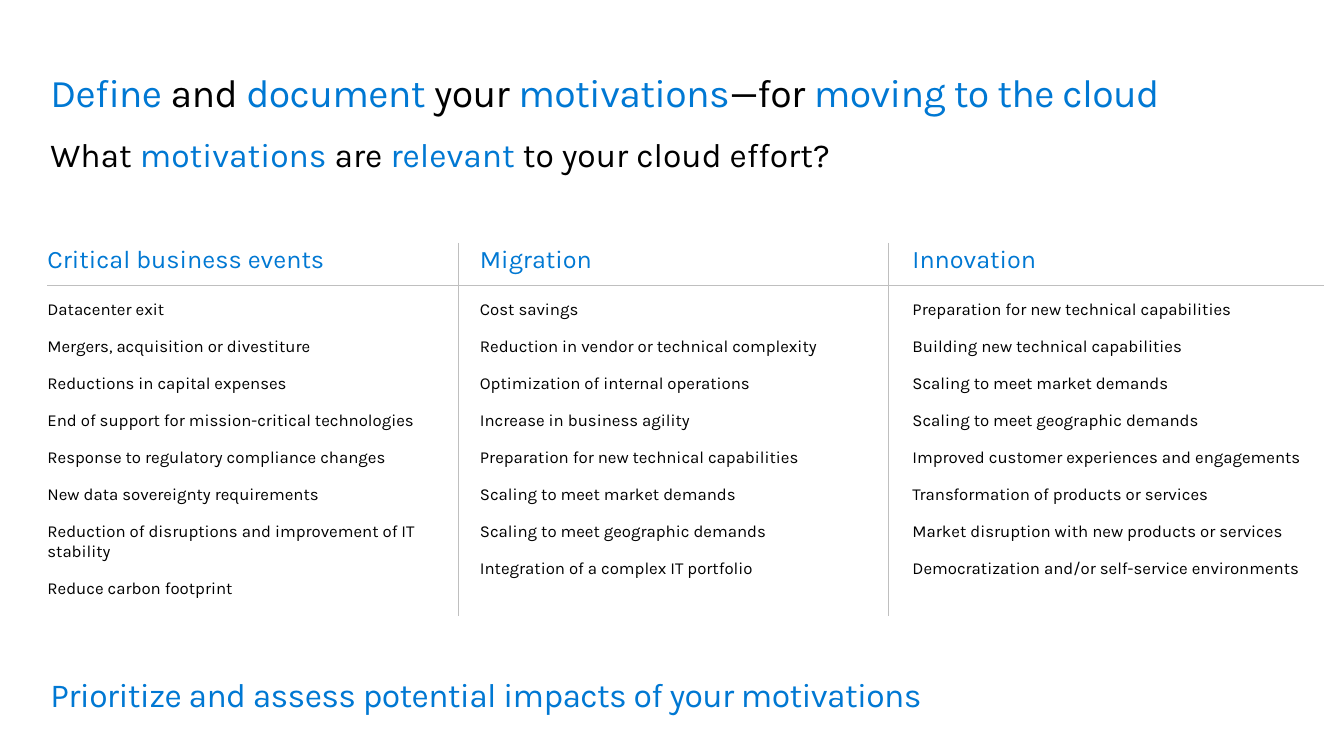
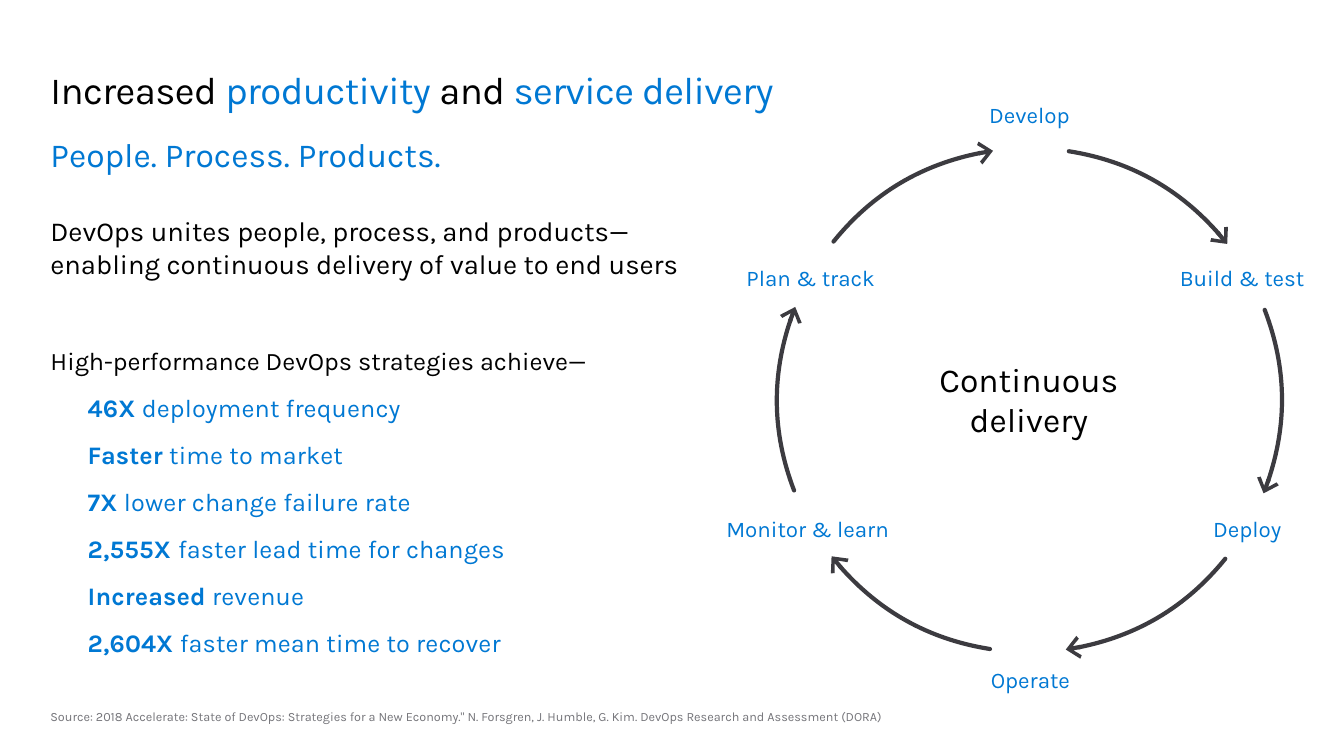
import math
from dataclasses import dataclass

from lxml import etree
from pptx import Presentation
from pptx import util as u
from pptx.dml.color import RGBColor
from pptx.enum import shapes, text
from pptx.oxml.ns import qn

# Content
MOTIVATION_TITLE = "*Define* and *document *your *motivations*—for *moving to the cloud*"
MOTIVATION_SUBTITLE = "What *motivations* are *relevant* to your cloud effort?"
MOTIVATION_CLOSING = "*Prioritize and assess potential impacts of your motivations*"
MOTIVATIONS = [
    ("Critical business events", [
        "Datacenter exit",
        "Mergers, acquisition or divestiture",
        "Reductions in capital expenses",
        "End of support for mission-critical technologies",
        "Response to regulatory compliance changes",
        "New data sovereignty requirements",
        "Reduction of disruptions and improvement of IT stability",
        "Reduce carbon footprint",
    ]),
    ("Migration", [
        "Cost savings",
        "Reduction in vendor or technical complexity",
        "Optimization of internal operations",
        "Increase in business agility",
        "Preparation for new technical capabilities",
        "Scaling to meet market demands",
        "Scaling to meet geographic demands",
        "Integration of a complex IT portfolio",
    ]),
    ("Innovation", [
        "Preparation for new technical capabilities",
        "Building new technical capabilities",
        "Scaling to meet market demands",
        "Scaling to meet geographic demands",
        "Improved customer experiences and engagements",
        "Transformation of products or services",
        "Market disruption with new products or services",
        "Democratization and/or self-service environments",
    ]),
]

DELIVERY_TITLE = "Increased *productivity *and *service delivery*"
DELIVERY_SUBTITLE = "*People. Process. Products.*"
DELIVERY_INTRO = ("DevOps unites people, process, and products—\v"
                  "enabling continuous delivery of value to end users")
DELIVERY_LEAD = "High-performance DevOps strategies achieve—"
RESULTS = [
    ("46X", " deployment frequency"),
    ("Faster", " time to market"),
    ("7X", " lower change failure rate"),
    ("2,555X ", "faster lead time for changes"),
    ("Increased", " revenue"),
    ("2,604X", " faster mean time to recover"),
]
SOURCE = ("Source: 2018 Accelerate: State of DevOps: Strategies for a New Economy.\" "
          "N. Forsgren, J. Humble, G. Kim. DevOps Research and Assessment (DORA)")
CYCLE_CENTER = "Continuous delivery"
# Stage name, label centre x, label top
STAGES = [
    ("Develop", 10.21, 0.95),
    ("Build & test", 12.32, 2.57),
    ("Deploy", 12.37, 5.06),
    ("Operate", 10.22, 6.56),
    ("Monitor & learn", 8.01, 5.06),
    ("Plan & track", 8.04, 2.57),
]


@dataclass(frozen=True)
class Theme:
    font: str = "Karla"
    ink: RGBColor = RGBColor(0x00, 0x00, 0x00)
    accent: RGBColor = RGBColor(0x00, 0x78, 0xD3)
    paper: RGBColor = RGBColor(0xFF, 0xFF, 0xFF)
    rule: RGBColor = RGBColor(0xBF, 0xBF, 0xBF)
    arrow: RGBColor = RGBColor(0x3C, 0x3B, 0x40)
    muted: RGBColor = RGBColor(0x75, 0x75, 0x7A)
    title: float = 28
    title_small: float = 27.4
    subtitle: float = 24
    intro: float = 19.6
    heading: float = 18
    label: float = 16
    item: float = 12
    source: float = 9
    tight: float = -0.46
    tighter: float = -0.41


THEME = Theme()
LEFT = 0.5


# Text helpers
def inches(*lengths):
    return [u.Inches(length) for length in lengths]


def add_run(paragraph, words, size, color, bold=False, tracking=0):
    run = paragraph.add_run()
    run.text = words
    run.font.name = THEME.font
    run.font.size = u.Pt(size)
    run.font.color.rgb = color
    run.font.bold = bold
    if tracking:
        run.font._element.set("spc", str(round(tracking * 100)))


def write(paragraph, markup, size, color=THEME.ink, tracking=0):
    """Write text; parts between asterisks take the accent colour."""
    for index, part in enumerate(markup.split("*")):
        for row, words in enumerate(part.split("\v")):
            if row:
                paragraph.add_line_break()
            if words:
                add_run(paragraph, words, size, THEME.accent if index % 2 else color,
                        tracking=tracking)


def style(paragraph, after=0, indent=0, level=0):
    paragraph.level = level
    properties = paragraph._p.get_or_add_pPr()
    properties.set("marL", str(u.Inches(indent)))
    properties.set("indent", "0")
    etree.SubElement(properties, qn("a:buNone"))
    paragraph.space_before = u.Pt(0)
    paragraph.space_after = u.Pt(after)


def next_paragraph(frame, **options):
    first = frame.paragraphs[0]
    paragraph = frame.add_paragraph() if first.runs else first
    style(paragraph, **options)
    return paragraph


def prepare(frame, insets=(0, 0), anchor=text.MSO_ANCHOR.TOP):
    frame.word_wrap = True
    frame.auto_size = text.MSO_AUTO_SIZE.NONE
    frame.vertical_anchor = anchor
    frame.margin_left = frame.margin_right = u.Inches(insets[0])
    frame.margin_top = frame.margin_bottom = u.Inches(insets[1])
    return frame


def add_text(slide, box, insets=(0, 0)):
    return prepare(slide.shapes.add_textbox(*inches(*box)).text_frame, insets)


def place(shape, box):
    shape.left, shape.top, shape.width, shape.height = inches(*box)


# Shared slide frame
def add_slide(presentation, title, title_size, tracking, subtitle, body_box):
    slide = presentation.slides.add_slide(presentation.slide_layouts[1])
    paragraph = prepare(slide.shapes.title.text_frame).paragraphs[0]
    paragraph.alignment = text.PP_ALIGN.LEFT
    write(paragraph, title, title_size, tracking=tracking)
    frame = add_text(slide, (LEFT, 1.33, 12.81, 0.4))
    write(next_paragraph(frame), subtitle, THEME.subtitle)
    body = slide.placeholders[1]
    place(body, body_box)
    return slide, prepare(body.text_frame)


# Line helpers
def add_rule(slide, x1, y1, x2, y2):
    rule = slide.shapes.add_connector(shapes.MSO_CONNECTOR.STRAIGHT, *inches(x1, y1, x2, y2))
    rule.line.color.rgb = THEME.rule
    rule.line.width = u.Pt(1)
    etree.SubElement(rule.element.spPr, qn("a:effectLst"))


def add_arc_arrow(slide, center, radius, start, sweep):
    def point(angle, reach=radius):
        return inches(center[0] + reach * math.cos(math.radians(angle)),
                      center[1] + reach * math.sin(math.radians(angle)))

    # One cubic curve: its handles lie on the tangents at both ends
    handle = 4 / 3 * math.tan(math.radians(sweep / 4))
    lean, reach = math.degrees(math.atan(handle)), radius * math.hypot(1, handle)
    end = start + sweep
    builder = slide.shapes.build_freeform(*point(start))
    builder.add_line_segments([point(start + sweep / 2), point(end)], close=False)
    arc = builder.convert_to_shape()
    outline_path = next(arc.element.iter(qn("a:path")))
    for segment in outline_path.findall(qn("a:lnTo")):
        outline_path.remove(segment)
    curve = etree.SubElement(outline_path, qn("a:cubicBezTo"))
    for x, y in (point(start + lean, reach), point(end - lean, reach), point(end)):
        etree.SubElement(curve, qn("a:pt"), x=str(x - arc.left), y=str(y - arc.top))

    arc.shadow.inherit = False
    arc.fill.background()
    arc.line.color.rgb = THEME.arrow
    arc.line.width = u.Pt(3)
    outline = arc.element.spPr.find(qn("a:ln"))
    outline.set("cap", "rnd")
    etree.SubElement(outline, qn("a:round"))
    etree.SubElement(outline, qn("a:tailEnd"), type="arrow", w="lg", len="med")


# Slides
def build_motivations(presentation):
    left, top, width, pitch = 0.47, 2.41, 4.08, 4.29
    slide, body = add_slide(presentation, MOTIVATION_TITLE, THEME.title, THEME.tight,
                            MOTIVATION_SUBTITLE, (left, top, width, 3.55))
    for column, (heading, items) in enumerate(MOTIVATIONS):
        frame = body if column == 0 else add_text(
            slide, (left + column * pitch, top, width, 3.55))
        write(next_paragraph(frame, after=18.3), heading, THEME.heading, THEME.accent)
        for item in items:
            write(next_paragraph(frame, after=12, level=1), item, THEME.item)

    closing = next_paragraph(add_text(slide, (0.3, 6.57, 9.26, 0.69), (0.2, 0.16)))
    closing.line_spacing = 0.9
    write(closing, MOTIVATION_CLOSING, THEME.subtitle, tracking=THEME.tight)

    add_rule(slide, left, 2.83, 13.13, 2.83)
    for x in (4.55, 8.81):
        add_rule(slide, x, top, x, 6.11)


def build_delivery(presentation):
    slide, body = add_slide(presentation, DELIVERY_TITLE, THEME.title_small, THEME.tighter,
                            DELIVERY_SUBTITLE, (LEFT, 2.12, 6.45, 4.46))
    slide.shapes.title.text_frame.paragraphs[0].line_spacing = u.Pt(31.4)

    # Results
    write(next_paragraph(body, after=47.1), DELIVERY_INTRO, THEME.intro)
    write(next_paragraph(body, after=11.8), DELIVERY_LEAD, THEME.heading)
    for figure, meaning in RESULTS:
        paragraph = next_paragraph(body, after=12, indent=0.37)
        for words, bold in ((figure, True), (meaning, False)):
            add_run(paragraph, words, THEME.heading, THEME.accent, bold, tracking=0.1)

    source = next_paragraph(add_text(slide, (LEFT, 7.05, 8.5, 0.14)))
    source.line_spacing = 0.9
    write(source, SOURCE, THEME.source, THEME.muted)

    # Delivery cycle
    center = next_paragraph(add_text(slide, (9.14, 3.51, 2.13, 0.91), (0.1, 0.05)))
    center.alignment = text.PP_ALIGN.CENTER
    write(center, CYCLE_CENTER, THEME.subtitle)

    step = 360 / len(STAGES)
    label_width = 1.9
    for index in range(len(STAGES)):
        add_arc_arrow(slide, (10.21, 3.97), 2.5, -81 + index * step, 42.7)
    for name, middle, top in STAGES:
        label = slide.shapes.add_shape(
            shapes.MSO_SHAPE.RECTANGLE,
            *inches(middle - label_width / 2, top, label_width, 0.37))
        label.shadow.inherit = False
        label.fill.solid()
        label.fill.fore_color.rgb = THEME.paper
        label.line.fill.background()
        frame = prepare(label.text_frame, (0.1, 0.05), text.MSO_ANCHOR.MIDDLE)
        paragraph = next_paragraph(frame)
        paragraph.alignment = text.PP_ALIGN.CENTER
        write(paragraph, name, THEME.label, THEME.accent)


def main():
    presentation = Presentation()
    presentation.slide_width, presentation.slide_height = inches(13.33, 7.5)
    place(presentation.slide_layouts[1].placeholders[0], (LEFT, 0.68, 12.36, 0.47))
    build_motivations(presentation)
    build_delivery(presentation)
    presentation.save("out.pptx")


if __name__ == "__main__":
    main()
